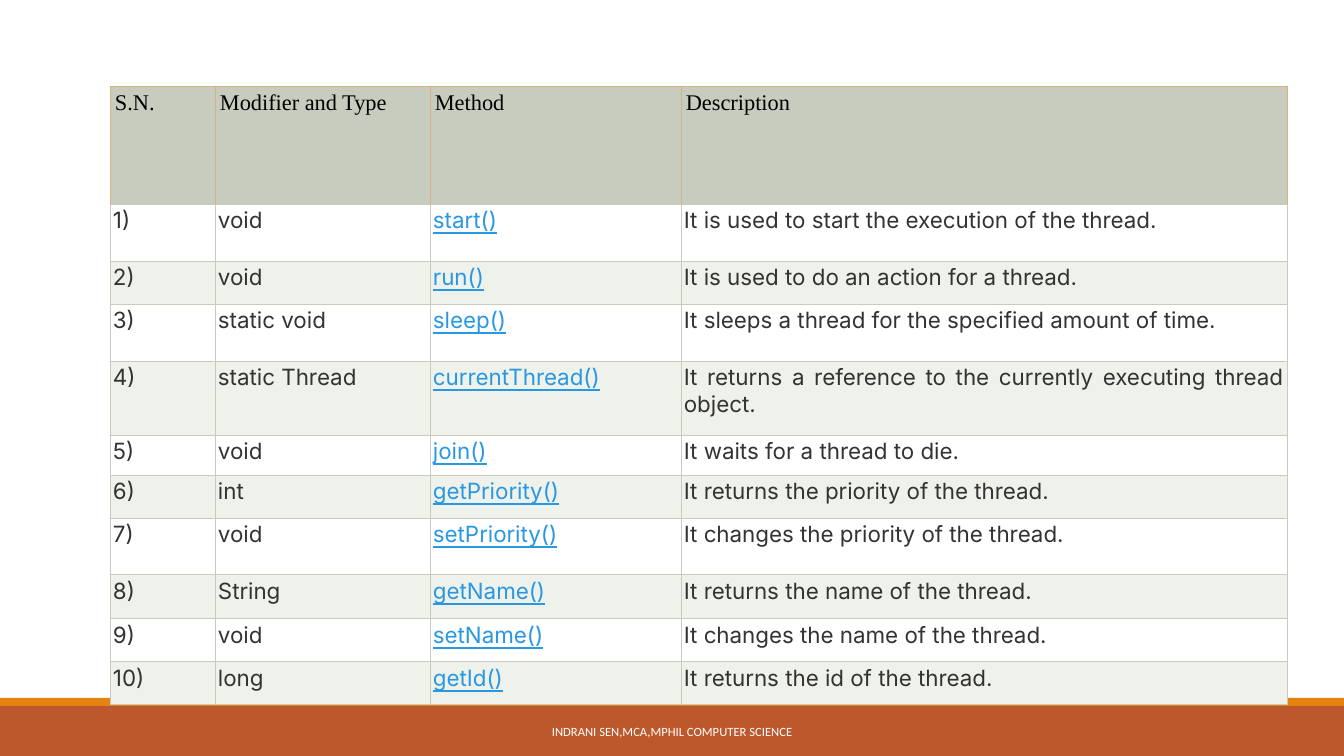
from lxml.etree import SubElement
from pptx import Presentation
from pptx.dml.color import RGBColor
from pptx.enum.shapes import MSO_SHAPE
from pptx.enum.text import MSO_ANCHOR, PP_ALIGN
from pptx.oxml.ns import qn
from pptx.util import Pt

EMU_PER_PX = 914400 / 100.8
WHITE = RGBColor(0xFF, 0xFF, 0xFF)
BLACK = RGBColor(0x00, 0x00, 0x00)
RUST = RGBColor(0xBD, 0x58, 0x2C)
ORANGE = RGBColor(0xE4, 0x83, 0x12)
SAGE = RGBColor(0xC7, 0xCC, 0xBE)
PALE_SAGE = RGBColor(0xEF, 0xF1, 0xEB)
TAN = RGBColor(0xD8, 0xB2, 0x84)
CHARCOAL = RGBColor(0x33, 0x33, 0x33)
LINK_BLUE = RGBColor(0x29, 0x98, 0xE3)

HEADINGS = ("S.N.", "Modifier and Type", "Method", "Description")
METHODS = (
    ("void", "start()", "It is used to start the execution of the thread."),
    ("void", "run()", "It is used to do an action for a thread."),
    ("static void", "sleep()", "It sleeps a thread for the specified amount of time."),
    ("static Thread", "currentThread()",
     "It returns a reference to the currently executing thread object."),
    ("void", "join()", "It waits for a thread to die."),
    ("int", "getPriority()", "It returns the priority of the thread."),
    ("void", "setPriority()", "It changes the priority of the thread."),
    ("String", "getName()", "It returns the name of the thread."),
    ("void", "setName()", "It changes the name of the thread."),
    ("long", "getId()", "It returns the id of the thread."),
)
COLUMN_WIDTHS = (105, 215, 251, 606)
ROW_HEIGHTS = (118, 57, 43, 57, 74, 40, 43, 57, 44, 43, 43)
METHOD_COLUMN = HEADINGS.index("Method")


def px(length):
    return round(length * EMU_PER_PX)


class MethodSlide:
    """Holds the current page and the style of its elements."""

    body_font = "Inter"
    heading_font = "Times New Roman"
    footer_font = "Calibri"
    table_size = 16
    border_width = 0.6

    def __init__(self, deck):
        self.page = deck.slides.add_slide(deck.slide_layouts[6])

    def bar(self, left, top, width, height, color):
        bar = self.page.shapes.add_shape(
            MSO_SHAPE.RECTANGLE, px(left), px(top), px(width), px(height))
        bar.shadow.inherit = False
        bar.fill.solid()
        bar.fill.fore_color.rgb = color
        bar.line.fill.background()

    def style_text(self, para, font, size, color, align):
        para.alignment = align
        for span in para.runs:
            span.font.name = font
            span.font.size = Pt(size)
            span.font.color.rgb = color

    def footer(self, left, top, width, height, text):
        box = self.page.shapes.add_textbox(px(left), px(top), px(width), px(height))
        frame = box.text_frame
        frame.word_wrap = True
        frame.vertical_anchor = MSO_ANCHOR.MIDDLE
        frame.text = text
        self.style_text(frame.paragraphs[0], self.footer_font, 9, WHITE, PP_ALIGN.CENTER)

    def borders(self, cell, sides):
        properties = cell._tc.get_or_add_tcPr()
        for side, color in sides.items():
            line = SubElement(properties, qn(f"a:ln{side}"), w=str(Pt(self.border_width)))
            fill = SubElement(line, qn("a:solidFill"))
            SubElement(fill, qn("a:srgbClr"), val=str(color))

    def cell(self, cell, text, margin, fill, sides, font, color, align):
        cell.text = text
        cell.margin_left = cell.margin_right = px(margin)
        cell.margin_top = cell.margin_bottom = px(margin)
        self.borders(cell, sides)
        cell.fill.solid()
        cell.fill.fore_color.rgb = fill
        self.style_text(cell.text_frame.paragraphs[0], font, self.table_size, color, align)

    def table(self, left, top):
        frame = self.page.shapes.add_table(
            len(ROW_HEIGHTS), len(COLUMN_WIDTHS), px(left), px(top),
            px(sum(COLUMN_WIDTHS)), px(sum(ROW_HEIGHTS)))
        table = frame.table
        table.first_row = table.horz_banding = False
        for column, width in zip(table.columns, COLUMN_WIDTHS):
            column.width = px(width)
        for row, height in zip(table.rows, ROW_HEIGHTS):
            row.height = px(height)

        # Heading row
        heading_sides = {"L": TAN, "R": TAN, "T": TAN, "B": SAGE}
        for column, text in enumerate(HEADINGS):
            self.cell(table.cell(0, column), text, 5, SAGE, heading_sides,
                      self.heading_font, BLACK, PP_ALIGN.LEFT)

        # Numbered method rows with alternating fills
        body_sides = dict.fromkeys("LRTB", SAGE)
        for number, method in enumerate(METHODS, start=1):
            fill = WHITE if number % 2 else PALE_SAGE
            for column, text in enumerate((f"{number})", *method)):
                is_method = column == METHOD_COLUMN
                cell = table.cell(number, column)
                self.cell(cell, text, 3, fill, body_sides, self.body_font,
                          LINK_BLUE if is_method else CHARCOAL, PP_ALIGN.JUSTIFY)
                if is_method:
                    cell.text_frame.paragraphs[0].runs[0].font.underline = True


def main():
    deck = Presentation()
    deck.slide_width, deck.slide_height = px(1344), px(756)
    slide = MethodSlide(deck)

    # Bottom bars
    slide.bar(0, 706, 1344, 50, RUST)
    slide.bar(0, 698, 1344, 8, ORANGE)

    # Thread methods
    slide.table(110, 86)

    # Footer
    slide.footer(406, 712, 532, 40, "INDRANI SEN,MCA,MPHIL COMPUTER SCIENCE")

    deck.save("out.pptx")


if __name__ == "__main__":
    main()
